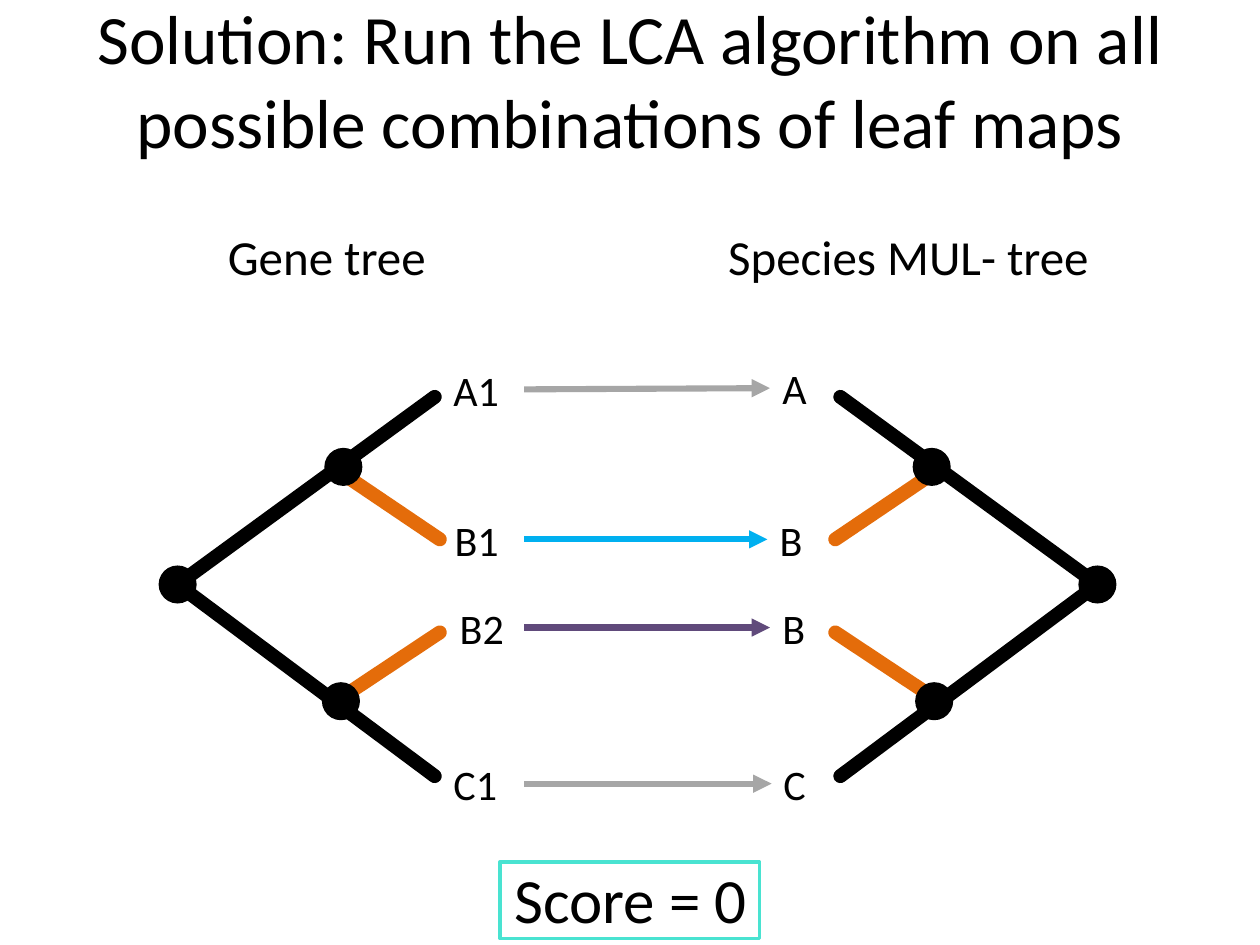
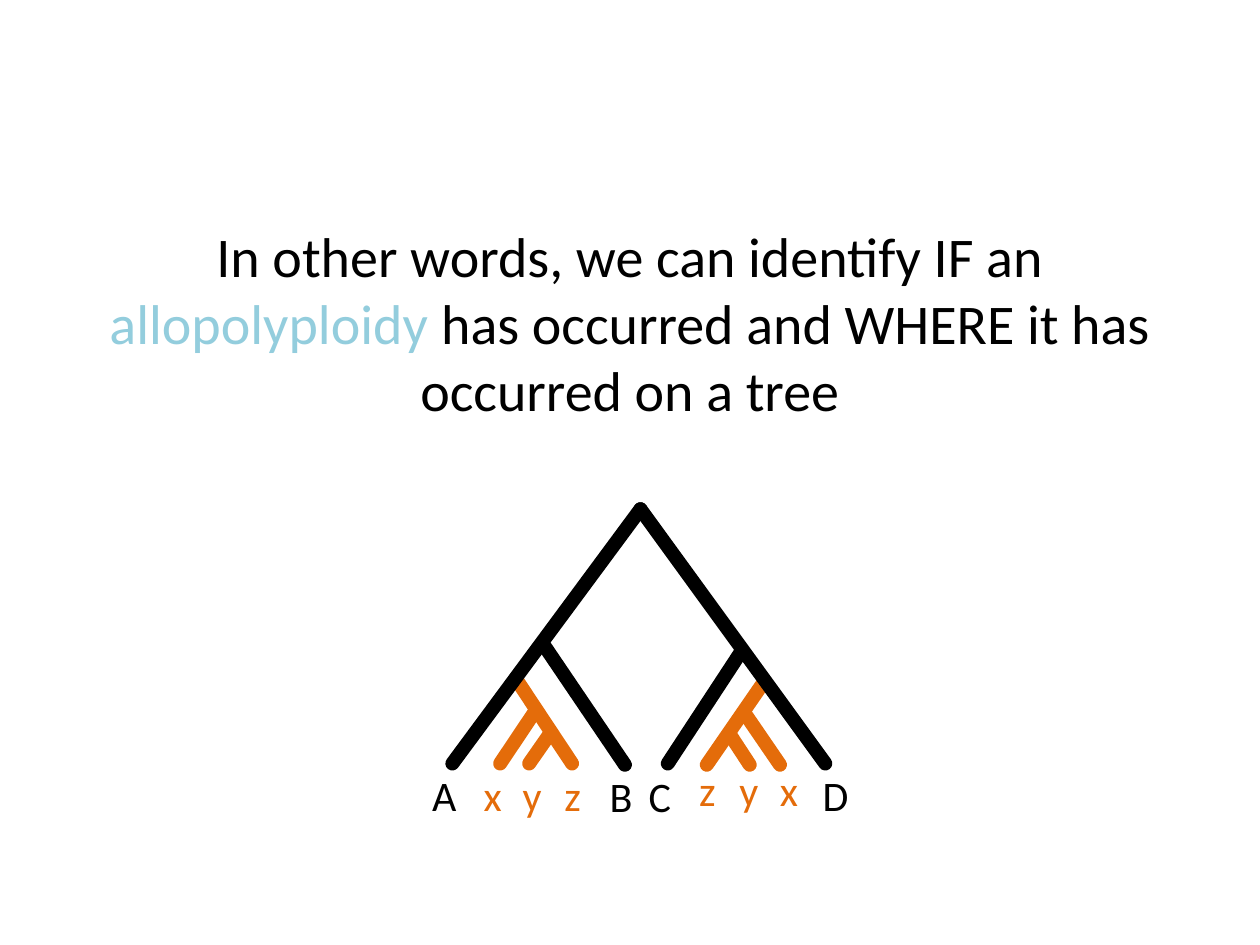
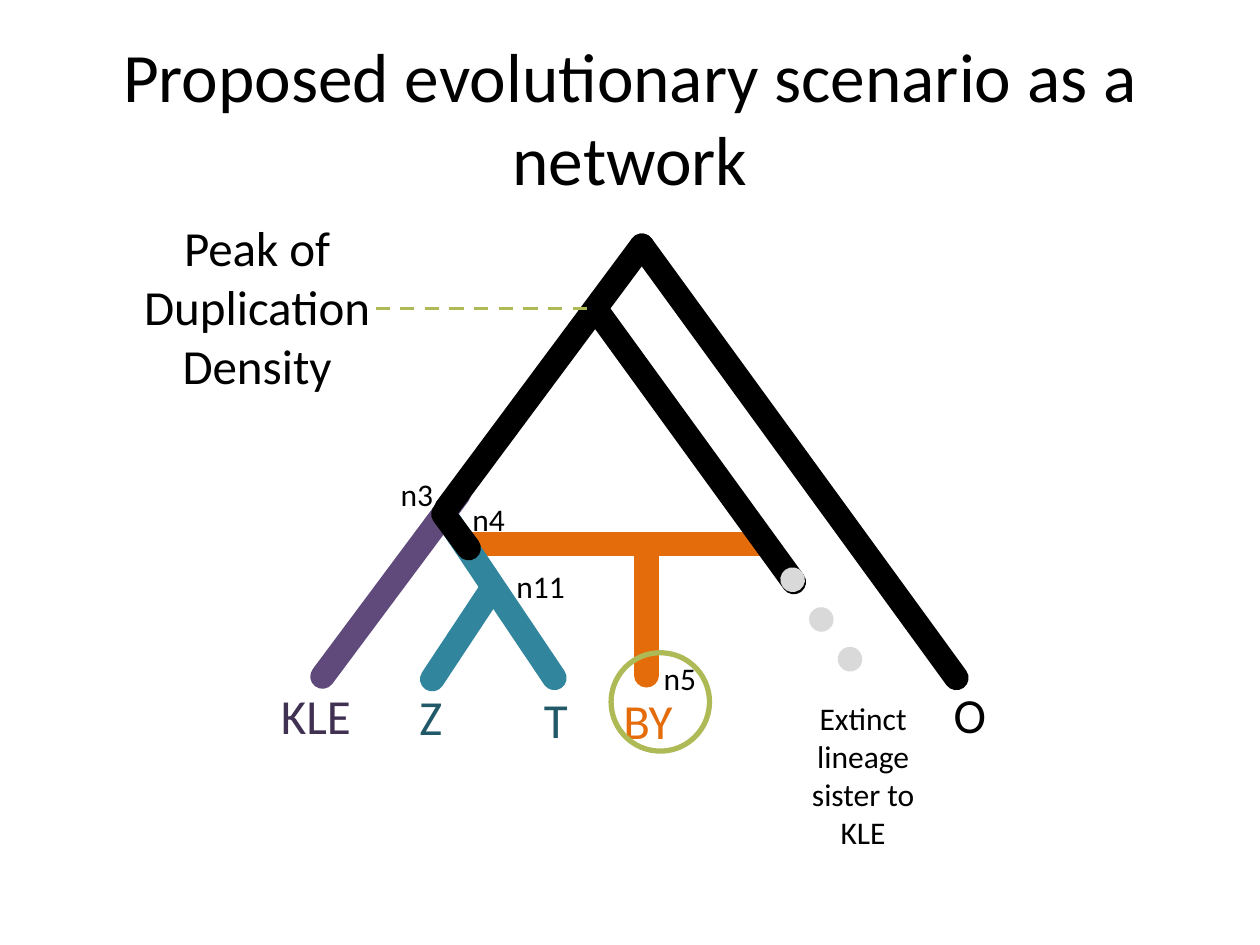
"""Build three slides on gene trees, multi-labelled trees and networks."""
from lxml import etree
from pptx import Presentation
from pptx.dml.color import RGBColor
from pptx.enum import dml, shapes, text
from pptx.oxml import ns
from pptx.util import Pt

BLACK, ORANGE, GRAY, PALE_GRAY = "000000", "E46C0A", "A6A6A6", "D9D9D9"
BLUE, LIGHT_BLUE, TURQUOISE, GREEN = "00B0F0", "93CDDD", "49E3D1", "AEBA56"
PURPLE, DARK_PURPLE, TEAL, DARK_TEAL = "604A7B", "403152", "31859C", "215968"
FONT = "Calibri"
MIRROR_SUM = 728.6
TITLE_ONLY, TITLE_AND_CONTENT = 5, 1
CENTER, LEFT = text.PP_ALIGN.CENTER, text.PP_ALIGN.LEFT


def color(value):
    """Return the colour for a hex string."""
    return RGBColor.from_string(value)


def apply(target, values):
    """Set each attribute named in values on the target."""
    for name, value in values.items():
        setattr(target, name, value)


def place(shape, left, top, width, height):
    """Move and size a shape, with lengths in points."""
    apply(shape, {"left": Pt(left), "top": Pt(top),
                  "width": Pt(width), "height": Pt(height)})


def write(shape, runs, size, align=LEFT, **frame_values):
    """Write one paragraph of (text, colour) runs into a shape."""
    frame = shape.text_frame
    apply(frame, {"word_wrap": True, "auto_size": text.MSO_AUTO_SIZE.NONE, **frame_values})
    paragraph = frame.paragraphs[0]
    paragraph.alignment = align
    for words, run_color in runs:
        run = paragraph.add_run()
        run.text = words
        apply(run.font, {"name": FONT, "size": Pt(size)})
        run.font.color.rgb = color(run_color)
    return paragraph


def add_title_slide(presentation, words, top):
    """Add a title-only slide with its title at the given top."""
    slide = presentation.slides.add_slide(presentation.slide_layouts[TITLE_ONLY])
    title = slide.shapes.title
    place(title, 36, top, 648, 90)
    write(title, [(words, BLACK)], 39.6, CENTER, vertical_anchor=text.MSO_ANCHOR.MIDDLE)
    return slide


def add_statement_slide(presentation, runs):
    """Add a slide whose body placeholder holds one centred statement."""
    slide = presentation.slides.add_slide(presentation.slide_layouts[TITLE_AND_CONTENT])
    title = slide.shapes.title
    title.element.getparent().remove(title.element)
    body = slide.placeholders[1]
    place(body, 36, 76.3, 648, 356.4)
    paragraph = write(body, runs, 32, CENTER, margin_top=Pt(50))
    paragraph.space_before = Pt(0)
    properties = paragraph._p.get_or_add_pPr()
    apply_xml(properties, {"marL": "0", "indent": "0"})
    etree.SubElement(properties, ns.qn("a:buNone"))
    return slide


def apply_xml(element, values):
    """Set each XML attribute in values on the element."""
    for name, value in values.items():
        element.set(name, value)


def add_label(slide, words, left, top, width, size, label_color=BLACK, align=LEFT, lines=1):
    """Add a text box that is as high as its lines."""
    height = size * 1.2 * lines + 7.2
    label = slide.shapes.add_textbox(Pt(left), Pt(top), Pt(width), Pt(height))
    write(label, [(words, label_color)], size, align)


def add_line(slide, start, end, line_color, width, dash=None, rounded=False, arrow=False):
    """Add a straight line between two points."""
    connector = slide.shapes.add_connector(
        shapes.MSO_CONNECTOR.STRAIGHT, *(Pt(value) for value in (*start, *end)))
    line = connector.line
    line.color.rgb = color(line_color)
    line.width = Pt(width)
    if dash:
        line.dash_style = dash
    outline = line._get_or_add_ln()
    if rounded:
        outline.set("cap", "rnd")
    if arrow:
        etree.SubElement(outline, ns.qn("a:tailEnd"), type="triangle")
    etree.SubElement(connector._element.spPr, ns.qn("a:effectLst"))


def add_branches(slide, branches, width):
    """Add round-ended tree branches given as (start, end, colour)."""
    for start, end, branch_color in branches:
        add_line(slide, start, end, branch_color, width, rounded=True)


def add_outline(slide, kind, box, line_color, width, fill=None):
    """Add a preset shape, hollow unless it is given a fill."""
    shape = slide.shapes.add_shape(kind, *(Pt(value) for value in box))
    shape.shadow.inherit = False
    if fill:
        shape.fill.solid()
        shape.fill.fore_color.rgb = color(fill)
    else:
        shape.fill.background()
    shape.line.color.rgb = color(line_color)
    shape.line.width = Pt(width)


def add_leaf_tree(slide, mirrored):
    """Draw the four-leaf tree with its root at the left, or mirrored."""
    def at(x, y):
        """Return the point, reflected for the mirrored tree."""
        return (MIRROR_SUM - x if mirrored else x), y

    root, diameter = at(101.5, 334), 21
    add_branches(slide, [
        (at(193.7, 269.3), at(251.3, 308.2), ORANGE),
        (at(193.7, 399.6), at(251.3, 361.4), ORANGE),
        (root, at(248.4, 443.5), BLACK),
        (root, at(248.4, 226.8), BLACK)], 8)
    for x, y in (root, at(194.8, 400.7), at(196.2, 266.8)):
        box = (x - diameter / 2, y - diameter / 2, diameter, diameter)
        add_outline(slide, shapes.MSO_SHAPE.OVAL, box, BLACK, 0.75, BLACK)


def build_leaf_maps(presentation):
    """Show one mapping from gene leaves to species leaves."""
    slide = add_title_slide(
        presentation, "Solution: Run the LCA algorithm on all possible combinations of leaf maps", 0)
    add_label(slide, "Species MUL- tree", 409, 126, 228.5, 28)
    add_label(slide, "Gene tree", 123.1, 126, 132, 28)
    for mirrored in (False, True):
        add_leaf_tree(slide, mirrored)
    leaf_maps = [
        ("A1", 252, 204.5, "A", 440, 203.8, (222.5, 221.8), 440, GRAY),
        ("B1", 252.7, 290.2, "B", 438.5, 290.2, (308.2, 308.2), 438.5, BLUE),
        ("B2", 255.6, 340.6, "B", 440, 340.6, (358.6, 358.6), 440, PURPLE),
        ("C1", 252, 429.8, "C", 440.6, 429.8, (447.8, 447.8), 440.9, GRAY)]
    for gene, gene_x, gene_y, species, species_x, species_y, heights, tip, map_color in leaf_maps:
        add_label(slide, gene, gene_x, gene_y, 46, 24)
        add_label(slide, species, species_x, species_y, 30, 24)
        add_line(slide, (299.5, heights[0]), (tip, heights[1]), map_color, 3.5, arrow=True)
    add_label(slide, "Score = 0", 279.4, 488.2, 162, 36, align=CENTER)
    add_outline(slide, shapes.MSO_SHAPE.RECTANGLE, (285.8, 492.5, 148.3, 43.9), TURQUOISE, 2)


def build_allopolyploidy(presentation):
    """Show a tree in which one clade occurs twice."""
    slide = add_statement_slide(presentation, [
        ("In other words, we can identify IF an ", BLACK),
        ("allopolyploidy", LIGHT_BLUE),
        (" has occurred and WHERE it has occurred on a tree", BLACK)])
    root = (366, 291)
    add_branches(slide, [
        ((435.6, 391), (403.9, 437), ORANGE),
        ((295.9, 389.5), (326.9, 436.3), ORANGE),
        (root, (258.5, 436.3), BLACK),
        (root, (471.6, 436.3), BLACK),
        ((310.3, 367.9), (357.1, 437), BLACK),
        ((424.1, 371.5), (381.6, 436.3), BLACK),
        ((306, 406.1), (285.8, 436.3), ORANGE),
        ((313.9, 419.8), (302.4, 436.3), ORANGE),
        ((425.5, 407.5), (445.7, 437), ORANGE),
        ((417.6, 420.5), (428.4, 437), ORANGE)], 8)
    for words, left, top in (("A", 239.8, 436.3), ("B", 341.3, 437),
                             ("C", 363.6, 437), ("D", 463, 436.3)):
        add_label(slide, words, left, top, 32, 24)
    for words, left, top in (("x", 269.3, 436.3), ("y", 291.6, 436.3), ("z", 315.4, 436.3),
                             ("z", 392.4, 433.4), ("y", 415.4, 433.4), ("x", 438.5, 433.4)):
        add_label(slide, words, left, top, 32, 24, ORANGE)


def build_network(presentation):
    """Show the proposed scenario as a network with a hybrid lineage."""
    slide = add_title_slide(presentation, "Proposed evolutionary scenario as a network", 21.6)
    root = (366.8, 140.4)
    add_line(slide, (436.3, 311), (267.8, 311), ORANGE, 14)
    add_branches(slide, [
        ((254.9, 295.2), (316.8, 387.4), TEAL),
        ((184.3, 386.6), (262.1, 282.2), PURPLE),
        (root, (254.9, 290.9), BLACK),
        (root, (546.5, 387.4), BLACK),
        ((280.8, 337), (247, 388.1), TEAL),
        ((369.4, 385.9), (369.4, 313.2), ORANGE),
        ((341.3, 177.8), (453.6, 332.6), BLACK)], 14)
    add_line(slide, (452.9, 331.2), (499.7, 396), PALE_GRAY, 14,
             dash=dml.MSO_LINE.ROUND_DOT, rounded=True)
    add_branches(slide, [((253.4, 293.8), (267.8, 313.2), BLACK)], 14)
    for words, left, top, width, leaf_color in (
            ("KLE", 153.4, 388, 79, DARK_PURPLE), ("Z", 232.6, 388.8, 55, DARK_TEAL),
            ("T", 303.8, 390.2, 47, DARK_TEAL), ("BY", 349.2, 391, 61, ORANGE),
            ("O", 537.8, 387.4, 40, BLACK)):
        add_label(slide, words, left, top, width, 28, leaf_color)
    for words, left, top in (("n3", 221.8, 267.8), ("n4", 262.8, 282.2),
                             ("n5", 372.2, 373), ("n11", 288, 320.4)):
        add_label(slide, words, left, top, 46, 18)
    add_label(slide, "Extinct lineage sister to KLE", 447.1, 396, 92.2, 18, align=CENTER, lines=4)
    add_label(slide, "Peak of Duplication Density", 61.9, 121, 170, 28, align=CENTER, lines=3)
    add_line(slide, (214.6, 176.4), (341.3, 176.4), GREEN, 2, dash=dml.MSO_LINE.DASH)
    add_outline(slide, shapes.MSO_SHAPE.OVAL, (349.2, 373, 56.2, 56.2), GREEN, 3)


def main():
    """Build and save the presentation."""
    presentation = Presentation()
    apply(presentation, {"slide_width": Pt(720), "slide_height": Pt(540)})
    build_leaf_maps(presentation)
    build_allopolyploidy(presentation)
    build_network(presentation)
    presentation.save("out.pptx")


if __name__ == "__main__":
    main()
